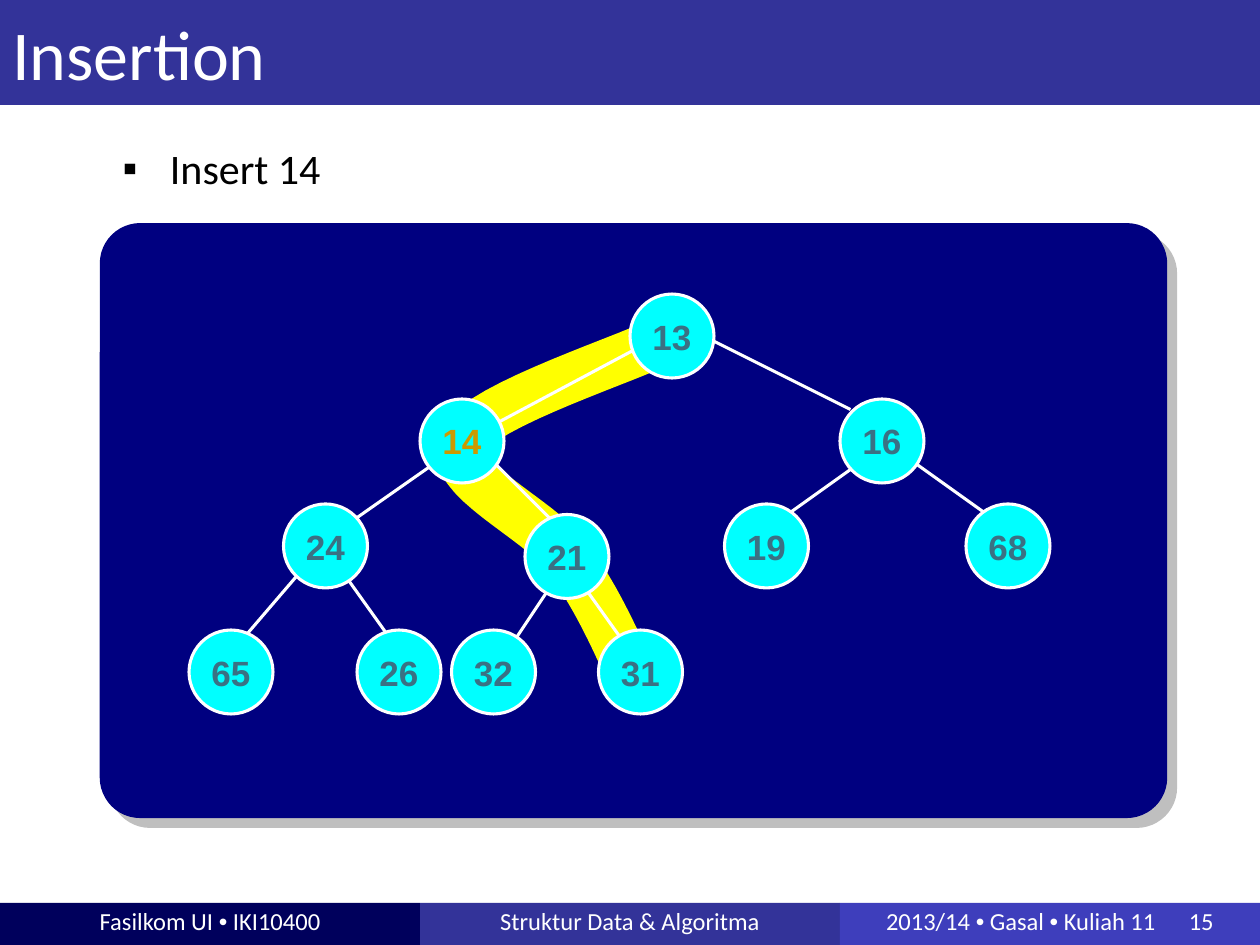
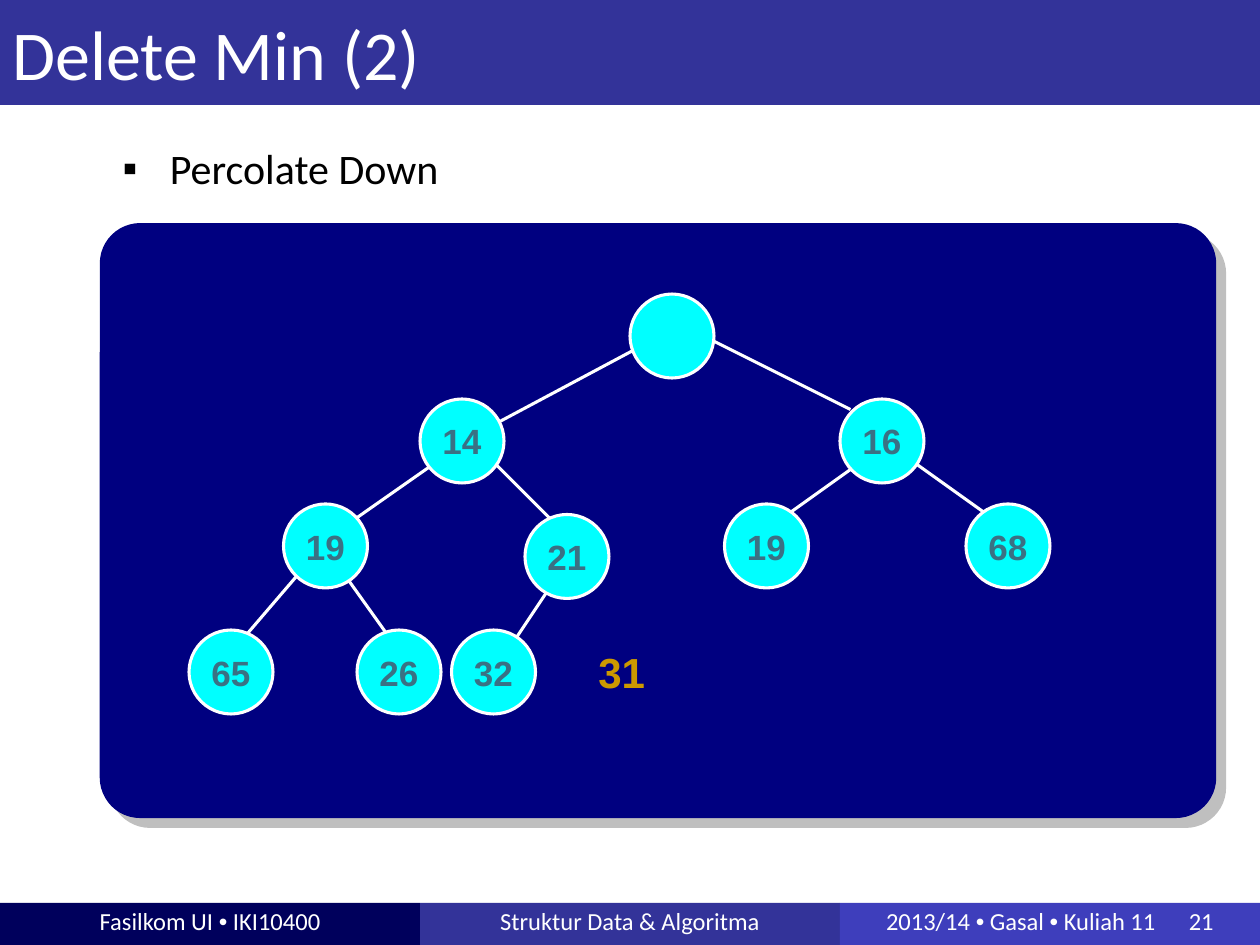
from dataclasses import dataclass

from lxml import etree
from pptx import Presentation
from pptx.dml.color import RGBColor
from pptx.enum.shapes import MSO_CONNECTOR, MSO_SHAPE
from pptx.enum.text import MSO_ANCHOR as Anchor, PP_ALIGN as Align
from pptx.oxml.ns import qn
from pptx.util import Pt

WHITE, BLACK, BLUE, NAVY = "FFFFFF", "000000", "333399", "000080"
NODE_FILL, NODE_TEXT, ACCENT, PATH_COLOR = "00FFFF", "3A7184", "CC9900", "FFFF00"
HEADING, LABEL = "Calibri", "Arial"
SLIDE_W, SLIDE_H = 720, 540
FOOTER_W, FOOTER_H = SLIDE_W / 3, 24
NODE_SIZE = 48
LINE_WIDTH = 1.75

# Level by level, left to right: top left corner of every heap node
NODES = [(360, 168),
         (240, 228), (480, 228),
         (162, 288), (300, 294), (414, 288), (552, 288),
         (108, 360), (204, 360), (258, 360), (342, 360)]
# The edge that leads to each node after the root
EDGES = [((366, 198), (276, 246)), ((402, 192), (486, 234)),
         ((258, 258), (198, 300)), ((282, 264), (318, 300)),
         ((492, 264), (450, 294)), ((522, 264), (564, 294)),
         ((174, 324), (138, 366)), ((198, 330), (228, 372)),
         ((318, 330), (294, 366)), ((330, 330), (360, 372))]
# Cubic curves: a start, then two control points and an end for each
PATH = [(360, 384), (350, 362), (340, 340), (324, 318),
        (308, 296), (254, 273), (264, 252),
        (274, 231), (366, 203), (384, 192)]
CURVE_STEPS = 16


@dataclass
class HeapSlide:
    title: str
    bullet: str
    page: int
    panel_width: float
    labels: list[str]
    accent_label: str = ""
    shows_path: bool = False
    loose_value: str = ""


@dataclass
class Footer:
    text: str
    fill: str
    align: Align = Align.CENTER
    inset: float = 7.2


FOOTERS = [Footer("Fasilkom UI • IKI10400", "00005C"),
           Footer("Struktur Data & Algoritma", BLUE),
           Footer("2013/14 • Gasal • Kuliah 11\t{page}", "3E3EBC", Align.LEFT, 26.3)]
PAGE_TAB = 173

SLIDES = [
    HeapSlide("Insertion", "Insert 14", 15, 610,
              ["13", "14", "16", "24", "21", "19", "68", "65", "26", "32", "31"],
              accent_label="14", shows_path=True),
    HeapSlide("Delete Min (2)", "Percolate Down", 21, 638,
              ["", "14", "16", "19", "21", "19", "68", "65", "26", "32"],
              loose_value="31"),
]


def rgb(color: str) -> RGBColor:
    return RGBColor.from_string(color)


def add_child(parent, tag: str, **attrs):
    return etree.SubElement(parent, qn(tag), {k: str(v) for k, v in attrs.items()})


def write(sp, text: str, *, size: float, color: str, font: str = HEADING,
          bold: bool = False, align: Align = Align.LEFT,
          anchor: Anchor = Anchor.MIDDLE, wrap: bool = True):
    """Fill a shape with one paragraph, setting each • in the label font."""
    tf = sp.text_frame
    tf.word_wrap = wrap
    tf.vertical_anchor = anchor
    p = tf.paragraphs[0]
    p.alignment = align
    for part in filter(None, text.replace("•", "|•|").split("|")):
        r = p.add_run()
        r.text = part
        r.font.name = LABEL if part == "•" else font
        r.font.size = Pt(size)
        r.font.bold = bold
        r.font.color.rgb = rgb(color)
    return p


def add_box(slide, kind, x: float, y: float, w: float, h: float, fill: str,
            outline: str = ""):
    sp = slide.shapes.add_shape(kind, Pt(x), Pt(y), Pt(w), Pt(h))
    sp.shadow.inherit = False
    sp.fill.solid()
    sp.fill.fore_color.rgb = rgb(fill)
    if outline:
        sp.line.color.rgb = rgb(outline)
        sp.line.width = Pt(LINE_WIDTH)
    else:
        sp.line.fill.background()
    return sp


def add_title(slide, text: str) -> None:
    sp = add_box(slide, MSO_SHAPE.RECTANGLE, 0, 0, SLIDE_W, 60, BLUE)
    write(sp, text, size=40, color=WHITE)


def add_bullet(slide, text: str) -> None:
    sp = slide.shapes.add_textbox(Pt(63), Pt(78), Pt(657), Pt(420))
    p = write(sp, text, size=24, color=BLACK, anchor=Anchor.TOP)
    p.space_before, p.space_after = Pt(3), Pt(6)
    pPr = p._p.get_or_add_pPr()
    pPr.set("marL", str(Pt(27)))
    pPr.set("indent", str(Pt(-27)))
    add_child(add_child(pPr, "a:buClr"), "a:srgbClr", val=BLACK)
    add_child(pPr, "a:buFont", typeface=LABEL)
    add_child(pPr, "a:buChar", char="▪")


def add_footers(slide, page: int) -> None:
    for i, footer in enumerate(FOOTERS):
        sp = add_box(slide, MSO_SHAPE.RECTANGLE, i * FOOTER_W, SLIDE_H - FOOTER_H,
                     FOOTER_W, FOOTER_H, footer.fill)
        tf = sp.text_frame
        tf.margin_left, tf.margin_top = Pt(footer.inset), 0
        p = write(sp, footer.text.format(page=page), size=14, color=WHITE,
                  align=footer.align)
        if "\t" in footer.text:
            tabs = add_child(p._p.get_or_add_pPr(), "a:tabLst")
            add_child(tabs, "a:tab", pos=Pt(PAGE_TAB), algn="l")


def add_panel(slide, width: float) -> None:
    sp = add_box(slide, MSO_SHAPE.ROUNDED_RECTANGLE, 57, 127.5, width, 340, NAVY)
    sp.adjustments[0] = 0.068
    effects = sp._element.spPr.find(qn("a:effectLst"))
    shadow = add_child(effects, "a:outerShdw", blurRad=0, dist=Pt(8),
                       dir=45 * 60000, algn="ctr", rotWithShape=0)
    tint = add_child(shadow, "a:srgbClr", val="808080")
    add_child(tint, "a:alpha", val=50000)


def curve_points(points: list) -> list:
    """Sample a chain of cubic curves as a list of points."""
    found = [points[0]]
    for i in range(0, len(points) - 1, 3):
        a, b, c, d = points[i:i + 4]
        for step in range(1, CURVE_STEPS + 1):
            t = step / CURVE_STEPS
            u = 1 - t
            weights = u ** 3, 3 * u * u * t, 3 * u * t * t, t ** 3
            found.append(tuple(sum(w * v for w, v in zip(weights, axis))
                               for axis in zip(a, b, c, d)))
    return found


def add_path(slide) -> None:
    start, *rest = [(Pt(x), Pt(y)) for x, y in curve_points(PATH)]
    builder = slide.shapes.build_freeform(*start)
    builder.add_line_segments(rest, close=False)
    sp = builder.convert_to_shape()
    sp.shadow.inherit = False
    sp.fill.background()
    sp.line.color.rgb = rgb(PATH_COLOR)
    sp.line.width = Pt(28)


def add_edge(slide, start: tuple, end: tuple) -> None:
    edge = slide.shapes.add_connector(MSO_CONNECTOR.STRAIGHT,
                                      *map(Pt, (*start, *end)))
    edge.line.color.rgb = rgb(WHITE)
    edge.line.width = Pt(LINE_WIDTH)
    add_child(edge._element.spPr, "a:effectLst")


def add_heap(slide, labels: list[str], accent_label: str) -> None:
    for start, end in EDGES[:len(labels) - 1]:
        add_edge(slide, start, end)
    for (x, y), label in zip(NODES, labels):
        sp = add_box(slide, MSO_SHAPE.OVAL, x, y, NODE_SIZE, NODE_SIZE,
                     NODE_FILL, WHITE)
        if label:
            write(sp, label, size=20, font=LABEL, bold=True, align=Align.CENTER,
                  wrap=False, color=ACCENT if label == accent_label else NODE_TEXT)


def add_loose_value(slide, text: str) -> None:
    sp = slide.shapes.add_textbox(Pt(334.8), Pt(366), Pt(41), Pt(36))
    write(sp, text, size=24, font=LABEL, bold=True, color=ACCENT,
          anchor=Anchor.TOP, wrap=False)


def build_slide(prs, content: HeapSlide) -> None:
    slide = prs.slides.add_slide(prs.slide_layouts[6])
    add_footers(slide, content.page)
    add_panel(slide, content.panel_width)
    if content.shows_path:
        add_path(slide)
    add_title(slide, content.title)
    add_bullet(slide, content.bullet)
    add_heap(slide, content.labels, content.accent_label)
    if content.loose_value:
        add_loose_value(slide, content.loose_value)


def main() -> None:
    prs = Presentation()
    prs.slide_width, prs.slide_height = Pt(SLIDE_W), Pt(SLIDE_H)
    for content in SLIDES:
        build_slide(prs, content)
    prs.save("out.pptx")


if __name__ == "__main__":
    main()
